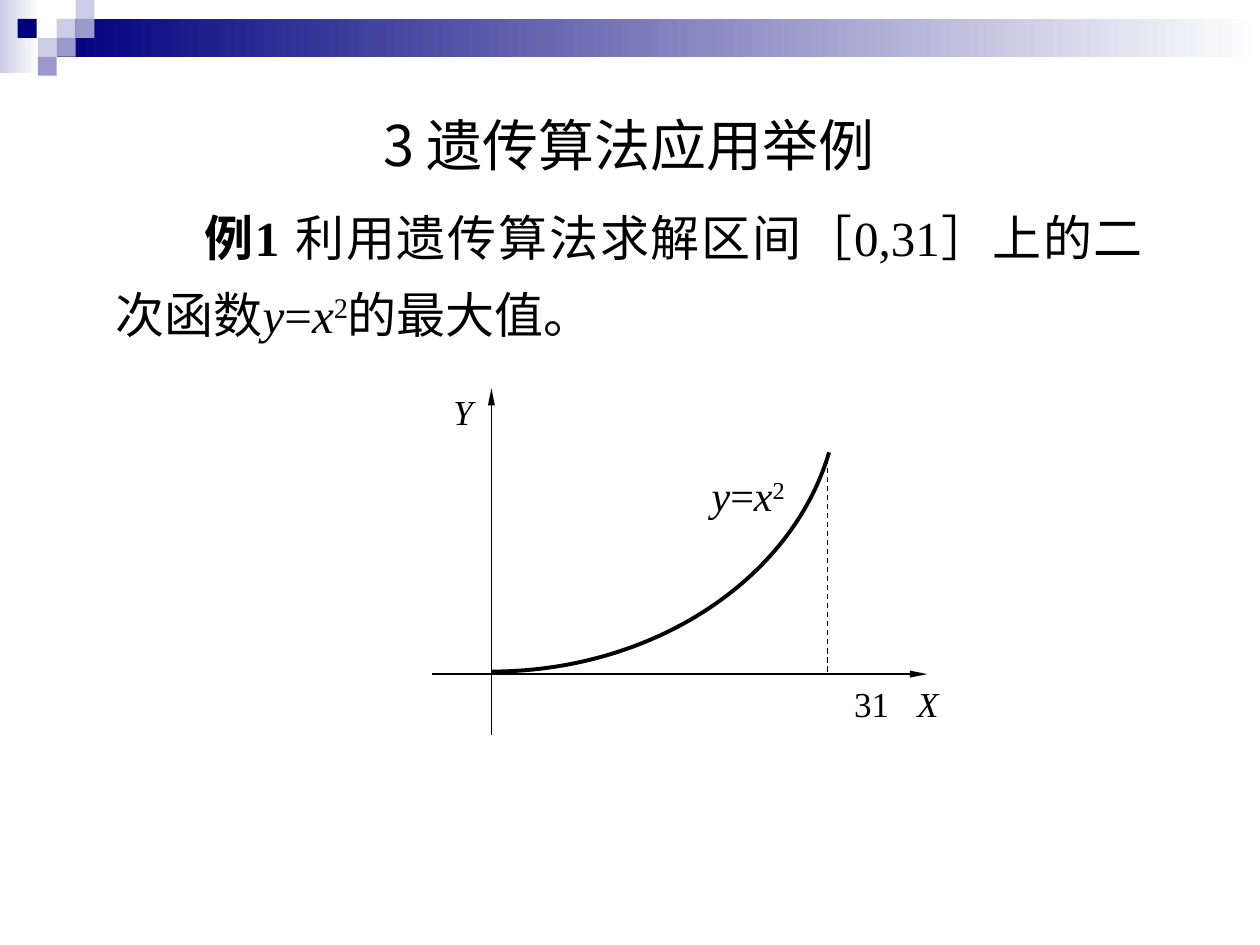
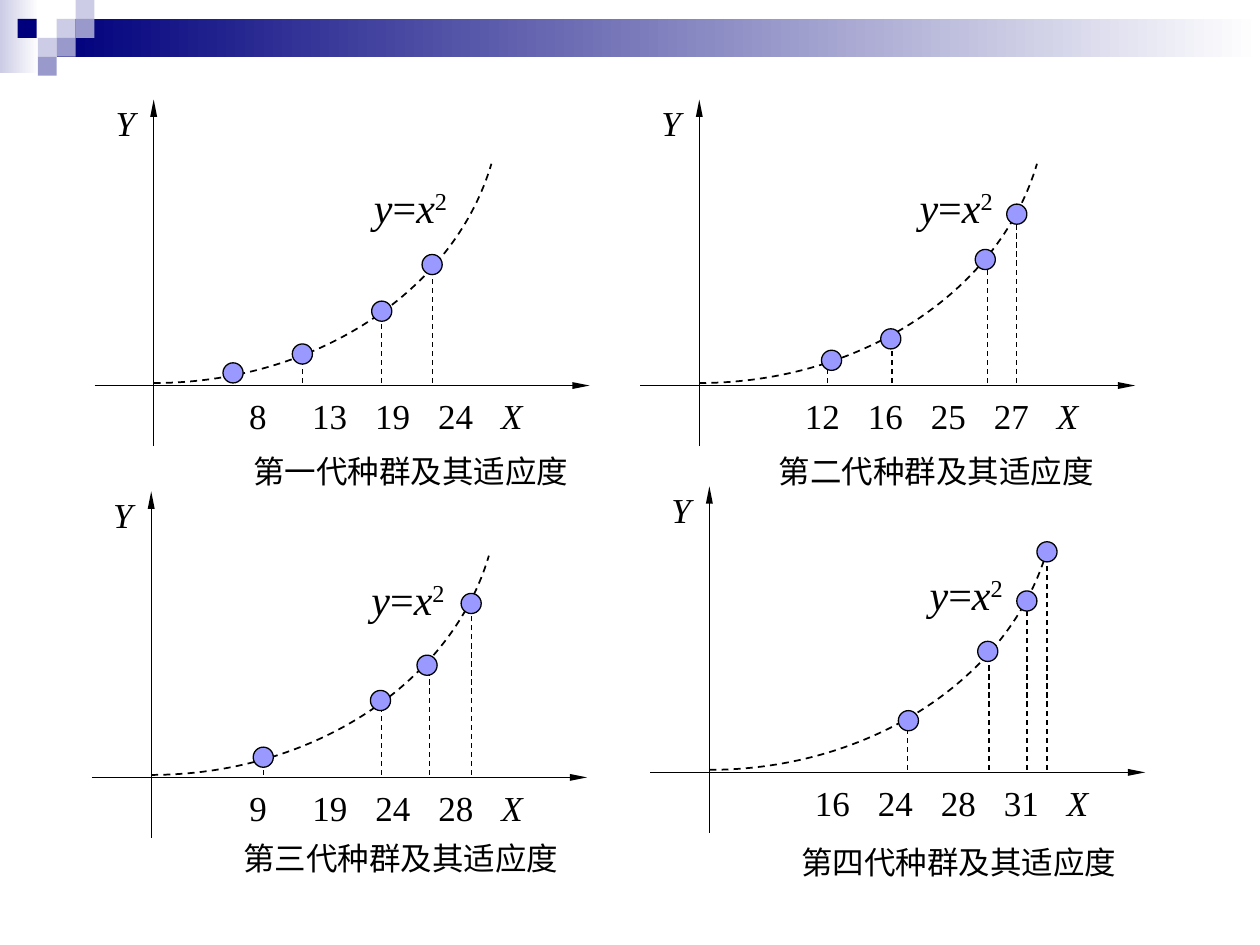
"""Build two slides on maximising y = x² with a genetic algorithm."""
from lxml import etree
from pptx import Presentation
from pptx.dml.color import RGBColor
from pptx.enum.dml import MSO_LINE
from pptx.enum.shapes import MSO_CONNECTOR, MSO_SHAPE
from pptx.enum.text import MSO_ANCHOR, MSO_AUTO_SIZE, PP_ALIGN
from pptx.oxml.ns import qn
from pptx.util import Inches, Pt

RECTANGLE, OVAL = MSO_SHAPE.RECTANGLE, MSO_SHAPE.OVAL
STRAIGHT, DASH = MSO_CONNECTOR.STRAIGHT, MSO_LINE.DASH
LEFT, JUSTIFY = PP_ALIGN.LEFT, PP_ALIGN.JUSTIFY
TOP, NO_FIT = MSO_ANCHOR.TOP, MSO_AUTO_SIZE.NONE

BLACK = RGBColor(0x00, 0x00, 0x00)
WHITE = RGBColor(0xFF, 0xFF, 0xFF)
NAVY = RGBColor(0x00, 0x00, 0x7D)
PALE = RGBColor(0xCC, 0xCC, 0xE6)
LILAC = RGBColor(0x99, 0x99, 0xCC)
DOT_BLUE = RGBColor(0x99, 0x99, 0xFF)
SERIF, SANS, CJK = "Times New Roman", "Arial", "Noto Sans CJK SC"

BANDS = [(0, 0, 0.31, 0.58, PALE), (0.45, 0.15, 9.55, 0.3, NAVY)]
TILE = 0.15
TILES = [
    (0.45, 0.15, PALE), (0.6, 0, PALE), (0.6, 0.15, LILAC),
    (0.3, 0.3, PALE), (0.14, 0.15, NAVY), (0.45, 0.3, LILAC), (0.3, 0.45, LILAC),
]

ITALIC = {"italic": True}
FORMULA = [("y", ITALIC), ("=", {}), ("x", ITALIC), ("2", {"superscript": True})]
TITLE = [("3 遗传算法应用举例", {})]
EXAMPLE = [
    ("例1 ", {"bold": True}),
    ("利用遗传算法求解区间［0,31］上的二次函数", {}),
    *FORMULA,
    ("的最大值。", {}),
]

INTERVAL = {
    "origin": (3.9, 5.35), "scale_left": 2.28, "scale_width": 1.58,
    "ticks": [("31", 2.65)], "x_label": 3.43,
}
GENERATIONS = [
    {
        "caption": "第一代种群及其适应度", "caption_at": (0.79, 0.53),
        "origin": (1.22, 3.06), "scale_left": 0.16, "scale_width": 3.7,
        "ticks": [("8", 0.6), ("13", 1.16), ("19", 1.79), ("24", 2.2)],
        "x_label": 3.32,
        "drops": [0.63, 1.18, 1.81, 2.21],
        "dots": [(0.63, -0.1), (1.18, -0.25), (1.81, -0.59), (2.21, -0.96)],
    },
    {
        "caption": "第二代种群及其适应度", "caption_at": (0.63, 0.53),
        "origin": (5.55, 3.06), "scale_left": 0.24, "scale_width": 3.62,
        "ticks": [("12", 0.96), ("16", 1.52), ("25", 2.21), ("27", 2.57)],
        "x_label": 3.27,
        "drops": [1.02, 1.53, 2.29, 2.52],
        "dots": [(1.05, -0.2), (1.52, -0.37), (2.27, -1.0), (2.52, -1.36)],
    },
    {
        "caption": "第三代种群及其适应度", "caption_at": (0.73, 0.49),
        "origin": (1.2, 6.17), "scale_left": 0.18, "scale_width": 3.39,
        "ticks": [("9", 0.83), ("19", 1.81), ("24", 2.22), ("28", 2.57)],
        "x_label": 3.28,
        "drops": [0.89, 1.83, 2.21, 2.54],
        "dots": [(0.89, -0.16), (1.82, -0.61), (2.19, -0.89), (2.54, -1.38)],
    },
    {
        "caption": "第四代种群及其适应度", "caption_at": (0.73, 0.56),
        "origin": (5.63, 6.13), "scale_left": 0.24, "scale_width": 3.43,
        "ticks": [("16", 1.52), ("24", 2.15), ("28", 2.49), ("31", 2.83)],
        "x_label": 3.34,
        "drops": [1.57, 2.22, 2.52, 2.68],
        "dots": [(1.58, -0.41), (2.21, -0.96), (2.52, -1.36), (2.68, -1.75)],
    },
]
CURVE_CORNER = (0, -2.3)
CURVE = [(0, -0.02), (1.27, -0.02), (2.38, -0.74), (2.68, -1.76)]
DOT = 0.16
MARGIN_X, MARGIN_Y = 0.1, 0.05


def write(frame, runs, size=20, font=SERIF, align=LEFT, line_spacing=None,
          indent=0, tab_centers=()):
    """Fill the first paragraph of a frame with formatted runs."""
    paragraph = frame.paragraphs[0]
    paragraph.alignment = align
    paragraph.space_before = Pt(0)
    if line_spacing:
        paragraph.line_spacing = line_spacing
    properties = paragraph._p.get_or_add_pPr()
    properties.set("marL", "0")
    properties.set("indent", str(Inches(indent)))
    etree.SubElement(properties, qn("a:buNone"))
    if tab_centers:
        stops = etree.SubElement(properties, qn("a:tabLst"))
        for center in tab_centers:
            etree.SubElement(stops, qn("a:tab"), pos=str(Inches(center)), algn="ctr")
    for text, style in runs:
        run = paragraph.add_run()
        run.text = text
        run.font.size = Pt(size)
        run.font.name = font
        run.font.color.rgb = BLACK
        run.font.bold = style.get("bold", False)
        run.font.italic = style.get("italic", False)
        marks = run.font._element
        etree.SubElement(marks, qn("a:ea")).set("typeface", CJK)
        if style.get("superscript"):
            marks.set("baseline", "30000")


def add_label(slide, left, top, width, height, runs, margins=True, **style):
    """Add a wrapping text box, with or without margins."""
    frame = slide.shapes.add_textbox(*map(Inches, (left, top, width, height))).text_frame
    frame.margin_left = frame.margin_right = Inches(MARGIN_X * margins)
    frame.margin_top = frame.margin_bottom = Inches(MARGIN_Y * margins)
    frame.word_wrap = True
    write(frame, runs, **style)


def fill_placeholder(holder, box, runs, wrap=True, **style):
    """Place a title or body placeholder and write its text."""
    holder.left, holder.top, holder.width, holder.height = map(Inches, box)
    frame = holder.text_frame
    frame.auto_size = NO_FIT
    frame.vertical_anchor = TOP
    frame.word_wrap = wrap
    write(frame, runs, **style)


def add_block(slide, preset, left, top, width, height, color):
    """Add a solid preset shape with no outline or shadow."""
    block = slide.shapes.add_shape(preset, *map(Inches, (left, top, width, height)))
    block.shadow.inherit = False
    block.fill.solid()
    block.fill.fore_color.rgb = color
    block.line.fill.background()
    return block


def add_line(slide, start, end, arrow=False, dashed=False):
    """Add a thin black line, with an arrowhead or dashes if asked."""
    line = slide.shapes.add_connector(STRAIGHT, *map(Inches, (*start, *end)))
    line.line.color.rgb = BLACK
    line.line.width = Pt(0.75)
    if dashed:
        line.line.dash_style = DASH
    if arrow:
        etree.SubElement(line.line._get_or_add_ln(), qn("a:tailEnd"),
                         type="triangle", w="sm", len="lg")
    etree.SubElement(line._element.spPr, qn("a:effectLst"))


def add_curve(slide, origin, width, dashed):
    """Draw the curve of y = x² as one cubic Bézier segment."""
    corner, start, *rest = [
        (Inches(origin[0] + dx), Inches(origin[1] + dy))
        for dx, dy in (CURVE_CORNER, *CURVE)
    ]
    builder = slide.shapes.build_freeform(*corner)
    builder.move_to(*start)
    builder.add_line_segments(rest, close=False)
    curve = builder.convert_to_shape()
    outline = next(curve.element.iter(qn("a:path")))
    bezier = etree.SubElement(outline, qn("a:cubicBezTo"))
    for segment in outline.findall(qn("a:lnTo")):
        bezier.append(segment[0])
        outline.remove(segment)
    curve.shadow.inherit = False
    curve.fill.background()
    curve.line.color.rgb = BLACK
    curve.line.width = Pt(width)
    if dashed:
        curve.line.dash_style = DASH


def add_plot(slide, plot, drops, curve_width, dashed_curve):
    """Draw axes, curve, drop lines and labels around the plot origin."""
    x, y = plot["origin"]
    for drop_x, drop_y in drops:
        add_line(slide, (x + drop_x, y - 0.02), (x + drop_x, y + drop_y), dashed=True)
    add_label(slide, x - 0.4, y - 2.3, 0.31, 0.44, [("Y", ITALIC)])
    add_label(slide, x + 1.65, y - 1.67, 0.87, 0.5, FORMULA, size=24)
    add_line(slide, (x - 0.47, y), (x + 3.46, y), arrow=True)
    left = plot["scale_left"]
    centers = [center for _, center in plot["ticks"]] + [plot["x_label"]]
    values = "".join(f"\t{value}" for value, _ in plot["ticks"])
    add_label(slide, x + left, y + 0.02, plot["scale_width"], 0.44,
              [(values + "\t", {}), ("X", ITALIC)],
              tab_centers=[center - left - MARGIN_X for center in centers])
    add_line(slide, (x, y + 0.48), (x, y - 2.27), arrow=True)
    add_curve(slide, (x, y), curve_width, dashed_curve)


def add_generation(slide, plot):
    """Draw one generation with its sample dots and caption."""
    x, y = plot["origin"]
    drops = [(drop_x, dot_y) for drop_x, (_, dot_y) in zip(plot["drops"], plot["dots"])]
    if plot is GENERATIONS[0]:
        drops = drops[1:]
    add_plot(slide, plot, drops, curve_width=1, dashed_curve=True)
    for dot_x, dot_y in plot["dots"]:
        dot = add_block(slide, OVAL, x + dot_x - DOT / 2, y + dot_y - DOT / 2,
                        DOT, DOT, DOT_BLUE)
        dot.line.color.rgb = BLACK
        dot.line.width = Pt(0.75)
    left, top = plot["caption_at"]
    add_label(slide, x + left, y + top, 2.68, 0.3, [(plot["caption"], {})],
              margins=False, size=18, font=SANS)


def decorate_master(master, slide):
    """Draw the header bands and tiles, then move them to the master."""
    blocks = []
    for left, top, width, height, color in BANDS:
        band = add_block(slide, RECTANGLE, left, top, width, height, color)
        band.fill.gradient()
        band.fill.gradient_angle = 0
        for stop, shade in zip(band.fill.gradient_stops, (color, WHITE)):
            stop.color.rgb = shade
        blocks.append(band)
    for left, top, color in TILES:
        blocks.append(add_block(slide, RECTANGLE, left, top, TILE, TILE, color))
    for block in blocks:
        master.shapes.element.append(block.element)


def main():
    """Build and save the presentation."""
    deck = Presentation()
    deck.slide_width, deck.slide_height = Inches(10), Inches(7.5)

    example = deck.slides.add_slide(deck.slide_layouts[1])
    decorate_master(deck.slide_master, example)
    fill_placeholder(example.shapes.title, (2.94, 0.83, 4.34, 0.64), TITLE,
                     wrap=False, size=32, font=CJK)
    fill_placeholder(example.placeholders[1], (0.82, 1.46, 8.35, 1.32), EXAMPLE,
                     size=28, align=JUSTIFY, line_spacing=1.3, indent=0.7)
    add_plot(example, INTERVAL, [(2.67, -1.76)], curve_width=2.25, dashed_curve=False)

    evolution = deck.slides.add_slide(deck.slide_layouts[6])
    for generation in GENERATIONS:
        add_generation(evolution, generation)

    deck.save("out.pptx")


if __name__ == "__main__":
    main()
